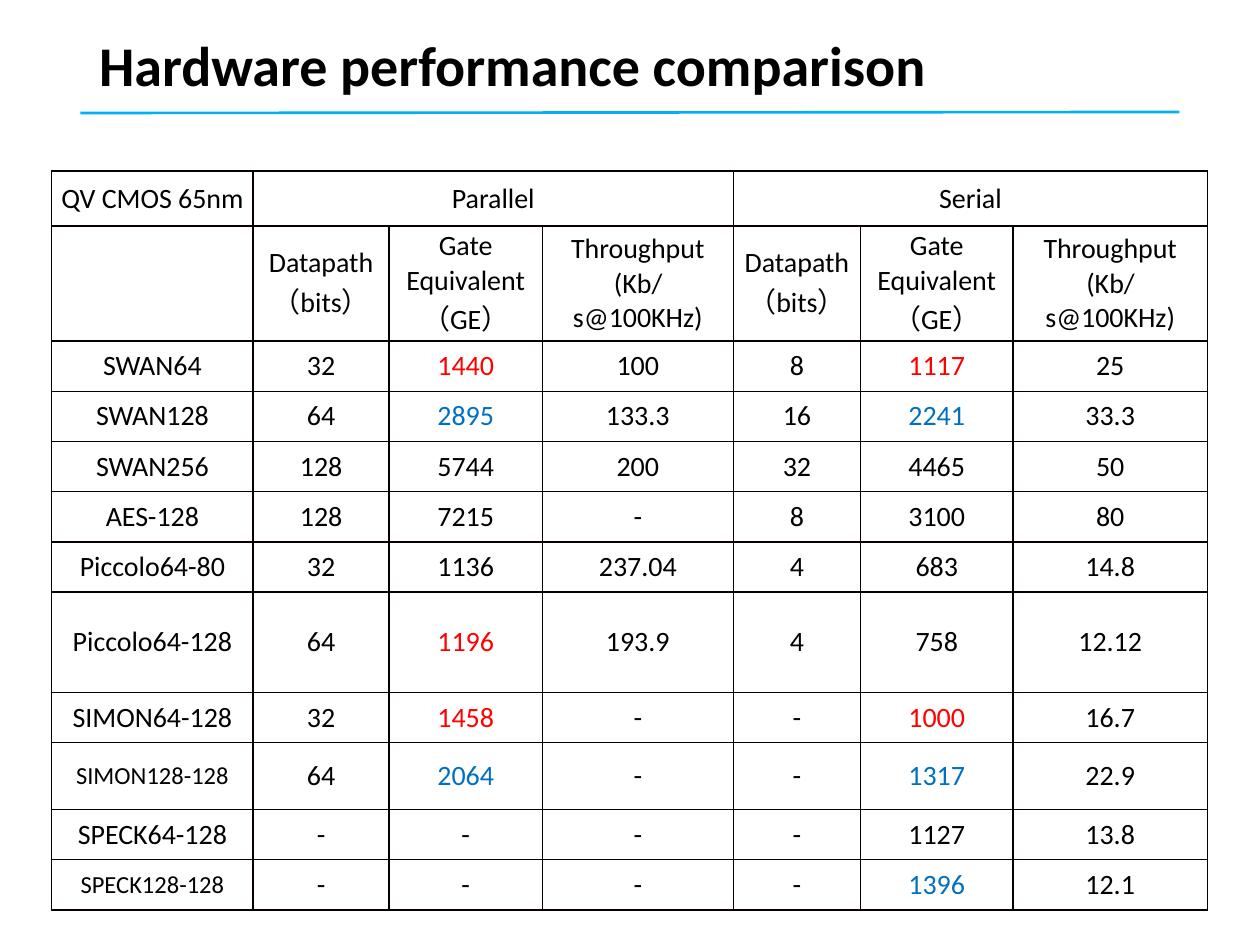
from lxml import etree
from pptx import Presentation
from pptx.dml.color import RGBColor
from pptx.enum import shapes, text
from pptx.oxml import ns
from pptx.util import Pt

FONT = "Calibri"
BLACK, RED, BLUE = "000000", "FF0000", "0070C0"
TITLE = "Hardware performance comparison"
GROUPS = ["QV CMOS 65nm", "Parallel", "", "", "Serial", "", ""]
HEADS = ["Datapath\n（bits）", "Gate Equivalent\n（GE）",
         "Throughput\n(Kb/s@100KHz)"]
DATA = [
    ["SWAN64", "32", "1440", "100", "8", "1117", "25"],
    ["SWAN128", "64", "2895", "133.3", "16", "2241", "33.3"],
    ["SWAN256", "128", "5744", "200", "32", "4465", "50"],
    ["AES-128", "128", "7215", "-", "8", "3100", "80"],
    ["Piccolo64-80", "32", "1136", "237.04", "4", "683", "14.8"],
    ["Piccolo64-128", "64", "1196", "193.9", "4", "758", "12.12"],
    ["SIMON64-128", "32", "1458", "-", "-", "1000", "16.7"],
    ["SIMON128-128", "64", "2064", "-", "-", "1317", "22.9"],
    ["SPECK64-128", "-", "-", "-", "-", "1127", "13.8"],
    ["SPECK128-128", "-", "-", "-", "-", "1396", "12.1"],
]
ROWS = [GROUPS, [""] + HEADS * 2] + DATA
MARKS = {"1440": RED, "1117": RED, "1196": RED, "1458": RED, "1000": RED,
         "2895": BLUE, "2241": BLUE, "2064": BLUE, "1317": BLUE, "1396": BLUE}
SMALL = {"SIMON128-128", "SPECK128-128"}
WIDTHS = [115.2, 77.6, 87.6, 109.2, 72.7, 87.1, 111.2]
ROW = 28.7
HEIGHTS = [31.5, 52] + [ROW] * len(DATA)
HEIGHTS[7], HEIGHTS[9] = 2 * ROW, 38.2


def rgb(code):
    return RGBColor.from_string(code)


def style(par, size, color=BLACK, bold=False):
    for run in par.runs:
        font = run.font
        font.name, font.size, font.bold = FONT, Pt(size), bold
        font.color.rgb = rgb(color)


def border(cell, color="080000"):
    props = cell._tc.get_or_add_tcPr()
    for side in ("lnL", "lnR", "lnT", "lnB"):
        line = etree.SubElement(props, ns.qn("a:" + side), w=str(Pt(1)))
        fill = etree.SubElement(line, ns.qn("a:solidFill"))
        etree.SubElement(fill, ns.qn("a:srgbClr"), val=color)


def fill_cell(cell, words):
    border(cell)
    cell.fill.background()
    cell.margin_left = cell.margin_right = Pt(5.2)
    cell.margin_top = cell.margin_bottom = 0
    cell.vertical_anchor = text.MSO_ANCHOR.MIDDLE
    cell.text_frame.text = words
    for par in cell.text_frame.paragraphs:
        par.alignment = text.PP_ALIGN.CENTER
        style(par, 14 if words in SMALL else 16, MARKS.get(words, BLACK))


deck = Presentation()
deck.slide_width, deck.slide_height = Pt(720), Pt(540)
slide = deck.slides.add_slide(deck.slide_layouts[5])

title = slide.shapes.title
title.left, title.top, title.width, title.height = map(Pt, (49.4, 14.8, 620.6, 49))
title.text_frame.text = TITLE
title.text_frame.vertical_anchor = text.MSO_ANCHOR.MIDDLE
head = title.text_frame.paragraphs[0]
head.alignment, head.line_spacing = text.PP_ALIGN.LEFT, 0.9
style(head, 32, bold=True)

rule = slide.shapes.add_connector(
    shapes.MSO_CONNECTOR.STRAIGHT, Pt(46), Pt(64.6), Pt(674), Pt(64))
rule.line.color.rgb = rgb("00B0F0")
rule.line.width = Pt(1.5)
etree.SubElement(rule._element.spPr, ns.qn("a:effectLst"))

table = slide.shapes.add_table(
    len(ROWS), len(WIDTHS), Pt(29.5), Pt(97.7),
    Pt(sum(WIDTHS)), Pt(sum(HEIGHTS))).table
table.first_row = table.horz_banding = False
for col, width in zip(table.columns, WIDTHS):
    col.width = Pt(width)
for row, height, line in zip(table.rows, HEIGHTS, ROWS):
    row.height = Pt(height)
    for cell, words in zip(row.cells, line):
        fill_cell(cell, words)
for start in (1, 4):
    table.cell(0, start).merge(table.cell(0, start + 2))

deck.save("out.pptx")
